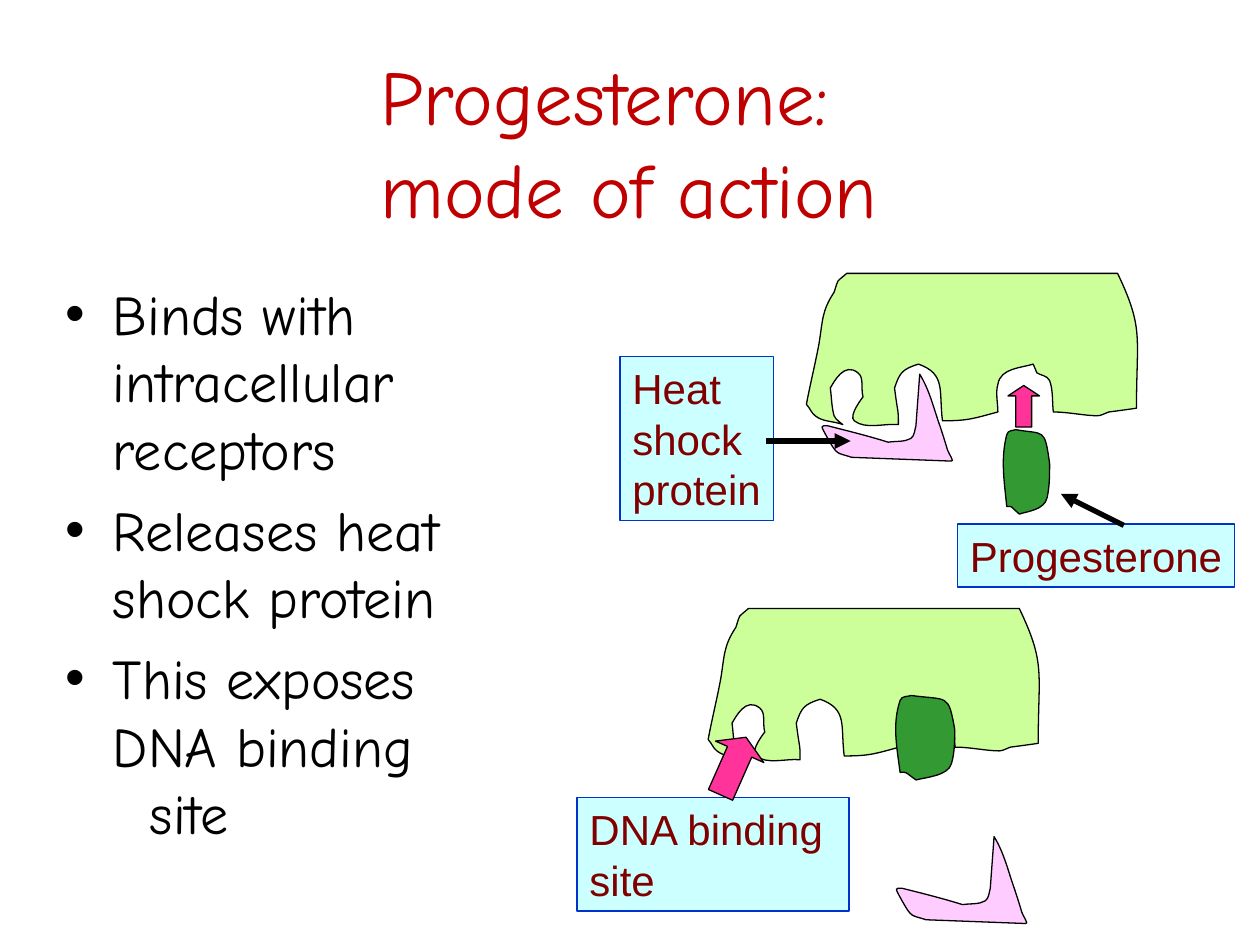
import lxml.etree
import pptx
import pptx.dml.color
import pptx.enum.shapes
import pptx.enum.text
import pptx.oxml
import pptx.oxml.ns
import pptx.util

Inches = pptx.util.Inches
Points = pptx.util.Pt
Shapes = pptx.enum.shapes.MSO_SHAPE
Anchor = pptx.enum.text.MSO_ANCHOR
Align = pptx.enum.text.PP_ALIGN
qualified = pptx.oxml.ns.qn
DRAWING = 'xmlns:a="http://schemas.openxmlformats.org/drawingml/2006/main"'

RECEPTOR = (268, 124, "CCFF99", """
32,0 103,0 175,0 247,0 268,44 262,50 262,107 255,108 248,109 240,110
237,111 234,113 231,113 221,113 208,110 196,110 195,102 196,93 193,85
191,81 186,81 183,79 182,77 181,74 180,72 171,75 154,75 152,88
150,95 152,103 152,110 133,115 129,117 108,117 105,93 111,80 89,72
76,76 74,79 70,91 73,115 73,106 73,120 61,119 47,124 38,117
33,113 45,98 45,98 43,91 46,83 41,79 30,70 22,86 19,91
20,98 20,106 22,113 23,116 29,120 29,120 21,117 13,118 7,113
4,111 3,107 0,104 3,88 7,72 10,56 13,38 12,30 22,15 26,3 23,8 32,0""")
PROGESTERONE = (40, 69, "339933", """
5,63 3,43 0,25 5,6 6,2 10,3 12,2 35,6 35,0 39,29
39,38 39,47 37,56 35,66 20,67 15,69 7,62 10,63 5,63""")
HEAT_SHOCK_PROTEIN = (107, 70, "FFCCFF", """
6,41 22,45 38,49 54,54 60,53 67,54 72,51 75,49 75,44 76,41
77,27 78,14 79,0 87,13 90,27 95,41 97,47 99,53 101,60
102,63 107,70 104,69 78,68 51,67 25,66 13,62 14,65 6,51 0,40 0,41 6,41""")


def color(value):
    return pptx.dml.color.RGBColor.from_string(value)


def paint(shape, fill, line="000000"):
    shape.shadow.inherit = False
    shape.fill.solid()
    shape.fill.fore_color.rgb = color(fill)
    shape.line.color.rgb = color(line)
    shape.line.width = Points(0.75)


def place(shape, box):
    shape.left, shape.top, shape.width, shape.height = map(Inches, box)


def add_run(paragraph, text, size, font, fill):
    run = paragraph.add_run()
    run.text = text
    run.font.size = Points(size)
    run.font.name = font
    run.font.color.rgb = color(fill)


def bend_segments(shape):
    segments = list(shape._element.iter(qualified("a:lnTo")))
    for index in range(0, len(segments), 3):
        curve = lxml.etree.Element(qualified("a:cubicBezTo"))
        segments[index].addprevious(curve)
        for segment in segments[index:index + 3]:
            curve.append(segment[0])
            segment.getparent().remove(segment)


def add_molecule(slide, molecule, box):
    natural_width, natural_height, fill, outline = molecule
    left, top, width, height = box
    points = [
        (
            Inches(left + float(x) * width / natural_width),
            Inches(top + float(y) * height / natural_height),
        )
        for x, y in (pair.split(",") for pair in outline.split())
    ]
    builder = slide.shapes.build_freeform(*points[0])
    builder.add_line_segments(points[1:-1], close=False)
    builder.add_line_segments(points[-1:], close=True)
    shape = builder.convert_to_shape()
    bend_segments(shape)
    paint(shape, fill)


def add_label(slide, lines, box):
    shape = slide.shapes.add_shape(Shapes.RECTANGLE, *map(Inches, box))
    paint(shape, "CCFFFF", "0033CC")
    frame = shape.text_frame
    frame.word_wrap = True
    frame.vertical_anchor = Anchor.TOP
    frame.margin_right = 0
    for index, line in enumerate(lines):
        paragraph = frame.add_paragraph() if index else frame.paragraphs[0]
        paragraph.alignment = Align.LEFT
        paragraph.line_spacing = Points(28.8)
        add_run(paragraph, line, 24, "Arial", "800000")


def add_block_arrow(slide, box, head, rotation=0):
    shape = slide.shapes.add_shape(Shapes.UP_ARROW, *map(Inches, box))
    shape.adjustments[0] = 0.5
    shape.adjustments[1] = head
    shape.rotation = rotation
    paint(shape, "FF3399")


def add_pointer(slide, start, end):
    connector = slide.shapes.add_connector(
        pptx.enum.shapes.MSO_CONNECTOR.STRAIGHT, *map(Inches, start + end)
    )
    connector.line.color.rgb = color("000000")
    connector.line.width = Points(3)
    line = connector.line._get_or_add_ln()
    line.append(pptx.oxml.parse_xml(f'<a:tailEnd {DRAWING} type="triangle"/>'))
    connector._element.spPr.append(pptx.oxml.parse_xml(f"<a:effectLst {DRAWING}/>"))


def add_title(slide, box):
    title = slide.shapes.title
    place(title, box)
    frame = title.text_frame
    frame.auto_size = pptx.enum.text.MSO_AUTO_SIZE.NONE
    frame.vertical_anchor = Anchor.MIDDLE
    paragraph = frame.paragraphs[0]
    paragraph.alignment = Align.LEFT
    paragraph._p.get_or_add_pPr().set("marL", str(Inches(2.17)))
    add_run(paragraph, "Progesterone:", 44, "Comic Neue", "C00000")
    paragraph.add_line_break()
    add_run(paragraph, "mode of action", 44, "Comic Neue", "C00000")


def add_steps(slide, box):
    body = slide.placeholders[1]
    place(body, box)
    frame = body.text_frame
    frame.auto_size = pptx.enum.text.MSO_AUTO_SIZE.NONE
    steps = (
        "Binds with intracellular receptors",
        "Releases heat shock protein",
        "This exposes DNA binding",
    )
    for index, text in enumerate(steps):
        paragraph = frame.add_paragraph() if index else frame.paragraphs[0]
        paragraph.space_before = Points(8 if index else 0)
        add_run(paragraph, text, 32, "Comic Neue", "000000")
    stops = "".join(
        f'<a:tab pos="{Inches(stop)}" algn="l"/>' for stop in (0.29, 0.67)
    )
    paragraph._p.get_or_add_pPr().append(
        pptx.oxml.parse_xml(f"<a:tabLst {DRAWING}>{stops}</a:tabLst>")
    )
    paragraph.add_line_break()
    add_run(paragraph, "\tsite", 32, "Comic Neue", "000000")


def add_binding_scene(slide, left, top):
    add_molecule(slide, RECEPTOR, (left + 1.48, top, 2.68, 1.24))
    add_molecule(slide, PROGESTERONE, (left + 3.02, top + 1.22, 0.4, 0.69))
    add_label(slide, ["Progesterone"], (left + 2.68, top + 1.99, 2.2, 0.5))
    add_block_arrow(slide, (left + 3.08, top + 0.89, 0.25, 0.33), 0.33)
    add_label(slide, ["Heat", "shock", "protein"], (left, top + 0.66, 1.22, 1.3))
    add_molecule(slide, HEAT_SHOCK_PROTEIN, (left + 1.59, top + 0.8, 1.07, 0.7))
    add_pointer(slide, (left + 1.16, top + 1.33), (left + 1.83, top + 1.33))
    add_pointer(slide, (left + 4, top + 2), (left + 3.5, top + 1.75))


def add_exposed_scene(slide, left, top):
    add_label(slide, ["DNA binding", "site"], (left, top + 1.5, 2.16, 0.9))
    add_molecule(slide, RECEPTOR, (left + 1.04, top, 2.68, 1.24))
    add_molecule(slide, PROGESTERONE, (left + 2.5, top + 0.67, 0.51, 0.69))
    add_molecule(slide, HEAT_SHOCK_PROTEIN, (left + 2.52, top + 1.81, 1.07, 0.7))
    add_block_arrow(slide, (left + 1.03, top + 1, 0.42, 0.5), 0.3, 23.9)


def main():
    presentation = pptx.Presentation()
    presentation.slide_width = Inches(10)
    presentation.slide_height = Inches(7.5)
    slide = presentation.slides.add_slide(presentation.slide_layouts[1])
    add_title(slide, (0.75, 0.33, 8.5, 1.58))
    add_steps(slide, (0.42, 2.17, 3.83, 4.75))
    add_binding_scene(slide, 4.92, 2.17)
    add_exposed_scene(slide, 4.58, 4.83)
    presentation.save("out.pptx")


if __name__ == "__main__":
    main()
